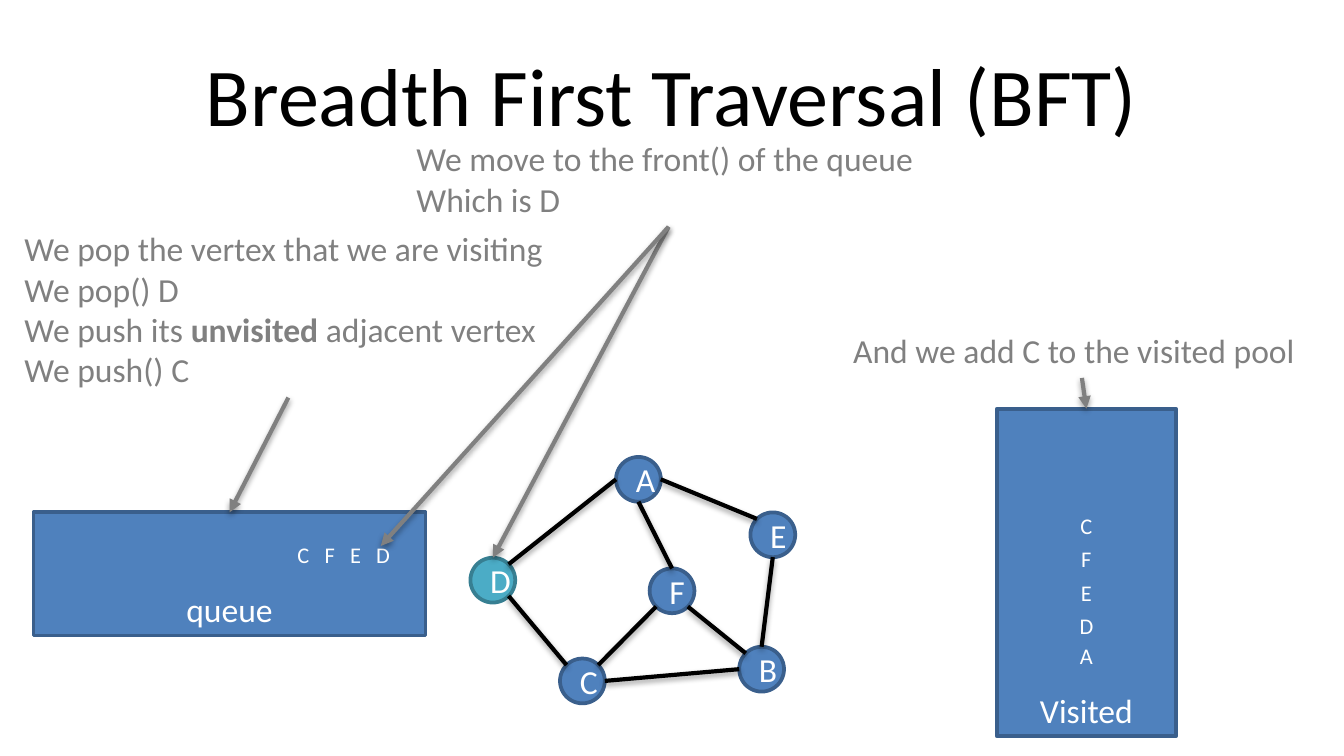
from math import cos, radians, sin

from lxml.etree import SubElement
from pptx import Presentation
from pptx.dml.color import RGBColor
from pptx.enum.shapes import MSO_CONNECTOR, MSO_SHAPE
from pptx.enum.text import MSO_ANCHOR, PP_ALIGN
from pptx.oxml.ns import qn
from pptx.util import Inches, Pt

COLORS = {
    "black": "000000", "white": "FFFFFF", "gray": "808080",
    "blue": "4F81BD", "blue line": "3A5F8C",
    "teal": "4BACC6", "teal line": "377F92",
}
COLUMNS, ROWS = 120, 67.5
NODE_SIZE = 4
# Connection sites of an ellipse, counted counterclockwise from the top
TOP, TOP_LEFT, LEFT, BOTTOM_LEFT, BOTTOM, BOTTOM_RIGHT, RIGHT, TOP_RIGHT = range(8)


def color(name):
    """Return the named colour."""
    return RGBColor.from_string(COLORS[name])


def write(shape, *lines, size=18, fill="gray", align=PP_ALIGN.LEFT,
          anchor=MSO_ANCHOR.TOP, wrap=True):
    """Write lines, each a string or a list of (text, run attributes)."""
    frame = shape.text_frame
    frame.word_wrap = wrap
    frame.vertical_anchor = anchor
    for index, line in enumerate(lines):
        paragraph = frame.add_paragraph() if index else frame.paragraphs[0]
        paragraph.alignment = align
        for text, attributes in [(line, {})] if isinstance(line, str) else line:
            run = paragraph.add_run()
            run.text = text
            run.font.name = "Calibri"
            run.font.size = Pt(size)
            run.font.color.rgb = color(fill)
            for key, value in attributes.items():
                run.font._element.set(key, value)


def site(node, number):
    """Return the grid point of a connection site on a node."""
    radius, angle = NODE_SIZE / 2, radians(45 * number)
    return (node[0] + radius - radius * sin(angle),
            node[1] + radius - radius * cos(angle))


class Board:
    """Draws styled elements on one slide, placed in columns and rows."""

    def __init__(self, presentation):
        """Add a blank slide and set up its grid."""
        self.slide = presentation.slides.add_slide(presentation.slide_layouts[6])
        self.column = presentation.slide_width / COLUMNS
        self.row = presentation.slide_height / ROWS

    def place(self, *lengths):
        """Turn alternating columns and rows into slide lengths."""
        units = (self.column, self.row) * 2
        return [round(length * unit) for length, unit in zip(lengths, units)]

    def text(self, box, *lines, **style):
        """Add a text box."""
        shape = self.slide.shapes.add_textbox(*self.place(*box))
        write(shape, *lines, **style)

    def shape(self, kind, box, label, fill="blue", anchor=MSO_ANCHOR.MIDDLE):
        """Add an outlined shape with a centred label."""
        shape = self.slide.shapes.add_shape(kind, *self.place(*box))
        shape.shadow.inherit = False
        shape.fill.solid()
        shape.fill.fore_color.rgb = color(fill)
        shape.line.color.rgb = color(fill + " line")
        shape.line.width = Pt(2)
        write(shape, label, fill="white", align=PP_ALIGN.CENTER, anchor=anchor)

    def line(self, start, end, fill="black", arrow=False):
        """Add a straight line with a soft shadow, or an arrow."""
        connector = self.slide.shapes.add_connector(
            MSO_CONNECTOR.STRAIGHT, *self.place(*start, *end))
        connector.line.color.rgb = color(fill)
        connector.line.width = Pt(2.25)
        properties = connector._element.spPr
        if arrow:
            SubElement(properties.find(qn("a:ln")), qn("a:tailEnd"), type="triangle")
        effects = SubElement(properties, qn("a:effectLst"))
        shadow = SubElement(effects, qn("a:outerShdw"), blurRad="40000",
                            dist="20000", dir="5400000", rotWithShape="0")
        shade = SubElement(shadow, qn("a:srgbClr"), val=COLORS["black"])
        SubElement(shade, qn("a:alpha"), val="38000")


def main():
    """Build and save the slide."""
    presentation = Presentation()
    presentation.slide_width, presentation.slide_height = Inches(10), Inches(5.625)
    board = Board(presentation)

    board.text((6, 2.75, 108, 11.25), "Breadth First Traversal (BFT)", size=44,
               fill="black", align=PP_ALIGN.CENTER, anchor=MSO_ANCHOR.MIDDLE)
    for label, box in (("queue", (3, 45.75, 35, 11)),
                       ("Visited", (89, 36.5, 16, 29.25))):
        board.shape(MSO_SHAPE.RECTANGLE, box, label, anchor=MSO_ANCHOR.BOTTOM)

    nodes = {"A": (55, 40.8), "C": (50, 58.8), "B": (66, 57.75),
             "D": (42, 49.8), "E": (67, 45.75), "F": (58, 50.75)}
    for name, corner in nodes.items():
        board.shape(MSO_SHAPE.OVAL, (*corner, NODE_SIZE, NODE_SIZE), name,
                    fill="teal" if name == "D" else "blue")
    edges = (("A", LEFT, "D", TOP_RIGHT), ("C", TOP_LEFT, "D", BOTTOM_RIGHT),
             ("C", TOP_RIGHT, "F", BOTTOM_LEFT), ("B", TOP_LEFT, "F", BOTTOM_RIGHT),
             ("E", BOTTOM, "B", TOP), ("E", TOP_LEFT, "A", RIGHT),
             ("B", LEFT, "C", RIGHT), ("A", BOTTOM, "F", TOP))
    for first, leaving, second, arriving in edges:
        board.line(site(nodes[first], leaving), site(nodes[second], arriving))

    wide_space = (" ", {"spc": "540"})
    queue = [("C", {})]
    for name in "FED":
        queue += [wide_space, (name, {})]
    board.text((5, 47.75, 31, 3.6), queue, size=12, fill="white",
               align=PP_ALIGN.RIGHT)
    visited_rows = [45.1 + 3 * index for index in range(4)] + [56.75]
    for name, row in zip("CFEDA", visited_rows):
        board.text((95, row, 4, 3.6), name, size=12, fill="white",
                   align=PP_ALIGN.CENTER)

    board.text((36, 11.75, 47.4, 8.5), "We move to the front() of the queue",
               "Which is D", wrap=False)
    board.text((1, 19.8, 49.5, 15.7), "We pop the vertex that we are visiting",
               "We pop() D",
               [("We push its ", {}), ("unvisited", {"b": "1"}),
                (" adjacent vertex", {})],
               "We push() C")
    board.text((75, 28.9, 43.2, 4.8), "And we add C to the visited pool", wrap=False)

    front_note = (59.7, 20.25)
    arrows = ((front_note, site(nodes["D"], TOP)), (front_note, (34, 48.75)),
              ((25.75, 35.5), (20.5, 45.75)), ((96.6, 33.75), (97, 36.5)))
    for start, end in arrows:
        board.line(start, end, fill="gray", arrow=True)

    presentation.save("out.pptx")


main()
